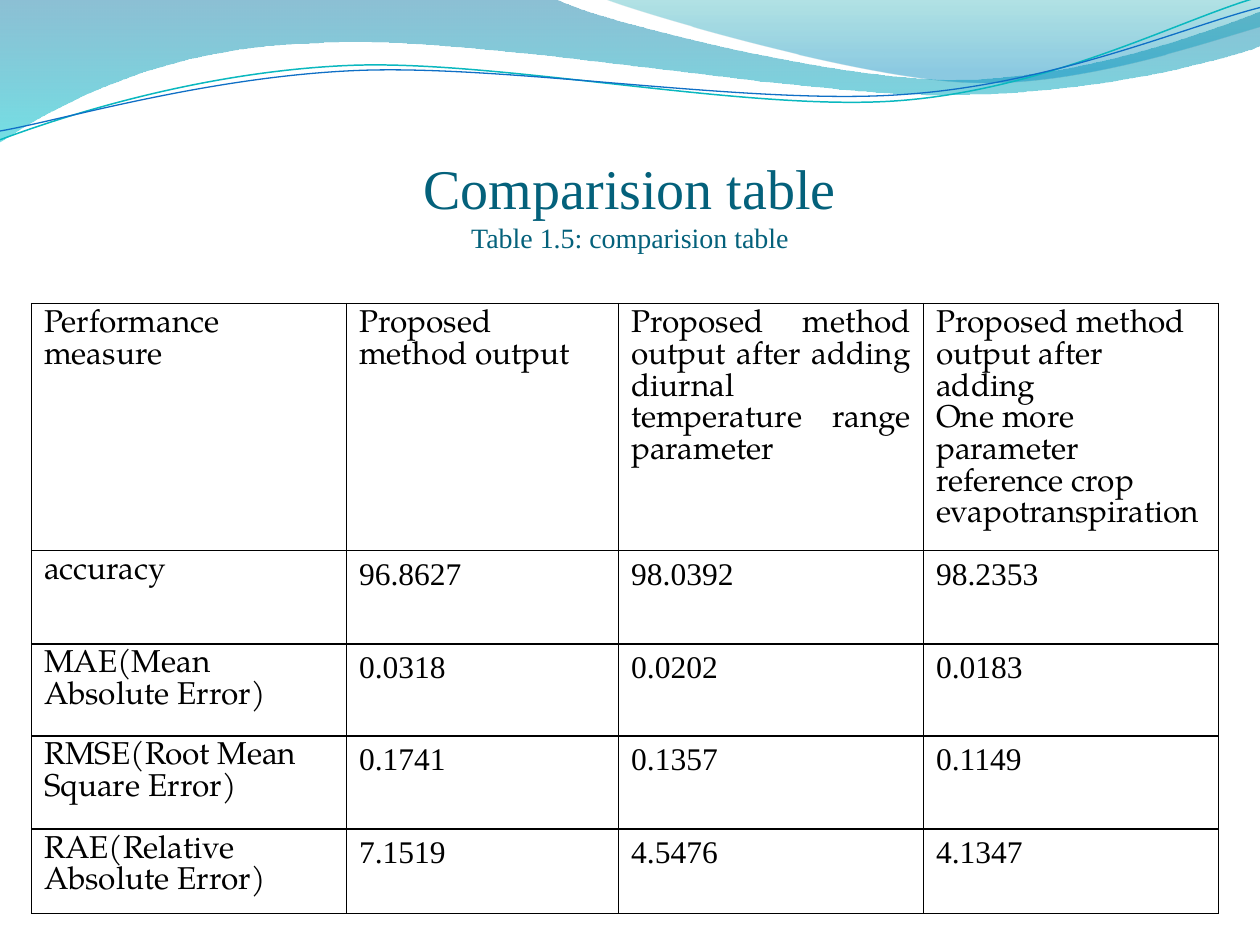
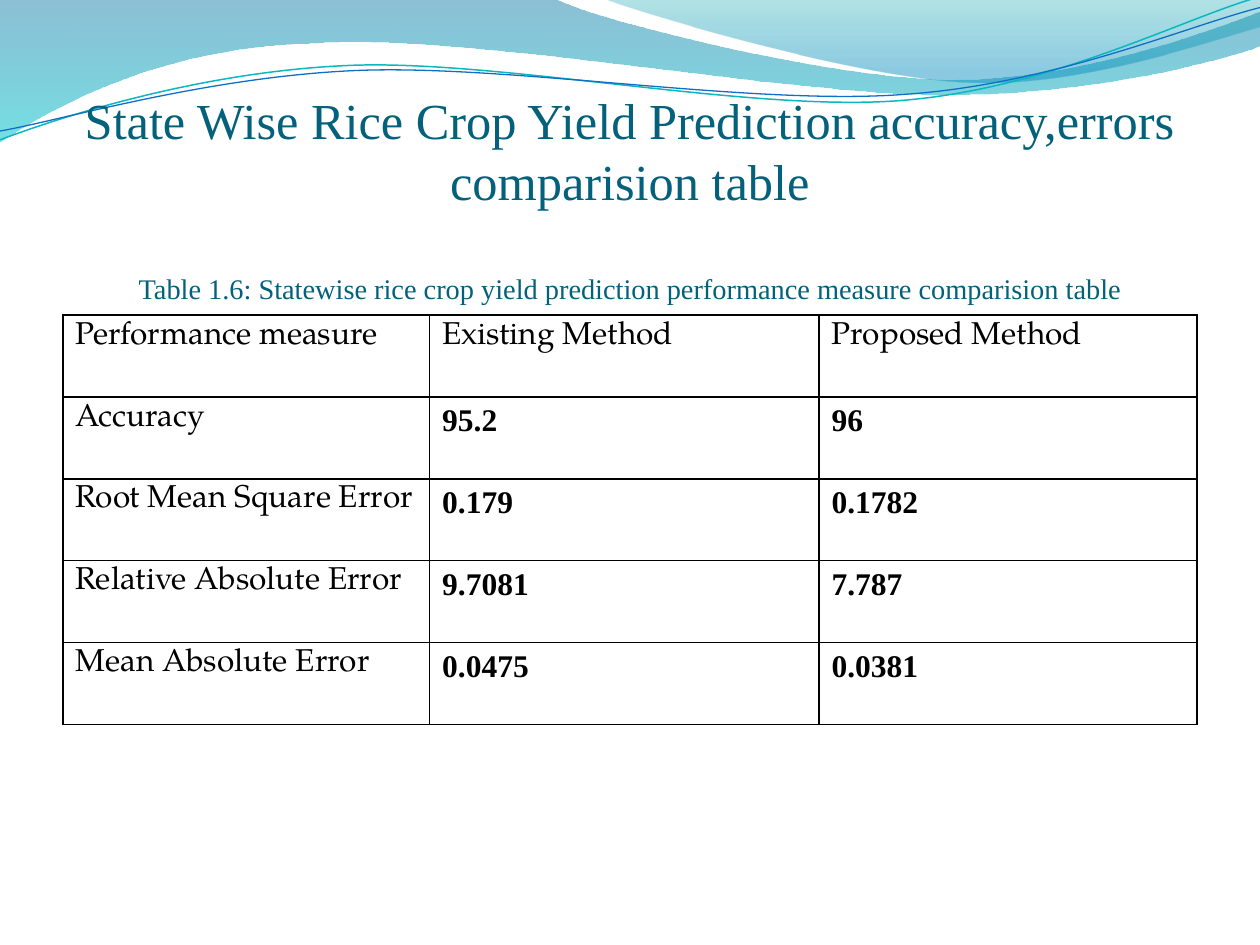
from copy import deepcopy
from lxml import etree
from pptx import Presentation
from pptx.dml.color import RGBColor
from pptx.enum.text import MSO_ANCHOR, MSO_AUTO_SIZE, PP_ALIGN
from pptx.oxml.ns import qn
from pptx.util import Inches, Pt

LEFT, CENTER, JUSTIFY = PP_ALIGN.LEFT, PP_ALIGN.CENTER, PP_ALIGN.JUSTIFY
BOTTOM = MSO_ANCHOR.BOTTOM
NO_FIT = MSO_AUTO_SIZE.NONE

COLORS = {
    "title": "04617B", "text": "000000", "border": "000000",
    "deep": "0074A1", "aqua": "00C6CF", "teal": "00A1A9", "sky": "008BBF",
    "green": "0AB8BF", "blue": "0F6FC6",
}
SERIF, BOOK = "Times New Roman", "TeX Gyre Pagella"

# Waves: a start, then segments of one point (line) or three points (curve)
BAND = [(0, 0), [(4.4, -0.01)],
        [(4.76, 0.17), (6.64, 0.63), (7.58, 0.63)],
        [(8.53, 0.63), (9.58, 0.26), (10, 0.09)], [(10.01, 0.36)],
        [(9.83, 0.44), (8.7, 0.76), (7.46, 0.75)],
        [(6.22, 0.75), (3.82, 0.28), (2.57, 0.34)],
        [(1.29, 0.36), (0.46, 0.83), (-0.01, 1.13)], [(0, 0)]]
CREST = [(4.79, -0.01),
         [(5.09, 0.11), (6.82, 0.62), (7.69, 0.65)],
         [(8.56, 0.69), (9.61, 0.32), (10, 0.21)], [(10, 0)], [(4.79, -0.01)]]
UPPER = [(0, 1.11),
         [(0.48, 0.93), (1.58, 0.57), (2.77, 0.52)],
         [(3.95, 0.47), (5.93, 0.89), (7.13, 0.8)],
         [(8.33, 0.71), (9.38, 0.15), (9.98, -0.02)]]
LOWER = [(0, 1.04),
         [(0.47, 0.96), (1.64, 0.61), (2.83, 0.56)],
         [(4.03, 0.51), (5.97, 0.84), (7.17, 0.75)],
         [(8.36, 0.67), (9.41, 0.21), (10, 0.06)]]


def color(name):
    return RGBColor.from_string(COLORS[name])


def place(point):
    return Inches(point[0]), Inches(point[1])


class Deck:
    def __init__(self):
        self.prs = Presentation()
        self.prs.slide_width, self.prs.slide_height = Inches(10), Inches(7.5)
        self.layout = self.prs.slide_layouts[5]
        self.slide = None

    def add(self):
        self.slide = self.prs.slides.add_slide(self.layout)

    def wave(self, outline, closed):
        """Draw straight pieces, then join each three into one curve."""
        start, *segments = outline
        pen = self.slide.shapes.build_freeform(*place(start))
        pen.add_line_segments([place(pt) for seg in segments for pt in seg],
                              close=closed)
        shape = pen.convert_to_shape()
        shape.shadow.inherit = False
        pieces = iter(list(shape._element.iter(qn("a:lnTo"))))
        for seg in segments:
            first, *rest = [next(pieces) for _ in seg]
            if rest:
                first.tag = qn("a:cubicBezTo")
            for piece in rest:
                first.append(piece[0])
                piece.getparent().remove(piece)
        return shape

    def band(self, outline, stops):
        shape = self.wave(outline, True)
        shape.line.fill.background()
        shape.fill.gradient()
        shape.fill.gradient_angle = 270
        for stop, (name, where, _) in zip(shape.fill.gradient_stops, stops):
            stop.color.rgb = color(name)
            stop.position = where
        tints = shape._element.spPr.iter(qn("a:srgbClr"))
        for tint, (_, _, alpha) in zip(tints, stops):
            etree.SubElement(tint, qn("a:alpha")).set("val", str(alpha * 1000))
        return shape

    def thread(self, outline, name, width):
        shape = self.wave(outline, False)
        shape.fill.background()
        shape.line.color.rgb = color(name)
        shape.line.width = Pt(width)
        return shape

    def share(self, shapes):
        """Move shapes to the back of the layout, so every slide shows them."""
        tree = self.layout.shapes._spTree
        for i, shape in enumerate(shapes):
            shape._element.nvSpPr.cNvPr.set("id", str(100 + i))
            tree.insert(2 + i, shape._element)

    def run(self, para, text, size, font, name, bold=False):
        run = para.add_run()
        run.text = text
        run.font.size, run.font.name, run.font.bold = Pt(size), font, bold
        run.font.color.rgb = color(name)
        return run

    def title(self, top, height, head, caption, breaks=1):
        """Set a heading and a caption, each a pair of text and size."""
        box = self.slide.shapes.title
        box.left, box.top = Inches(0.5), Inches(top)
        box.width, box.height = Inches(9), Inches(height)
        frame = box.text_frame
        frame.auto_size, frame.vertical_anchor = NO_FIT, BOTTOM
        frame.margin_left = frame.margin_right = frame.margin_bottom = 0
        frame.margin_top = Inches(0.05)
        para = frame.paragraphs[0]
        para.alignment = CENTER
        run = self.run(para, *head, SERIF, "title")
        for _ in range(breaks):
            para.add_line_break()
            para._p[-1].append(deepcopy(run._r.rPr))
        self.run(para, *caption, SERIF, "title")

    def border(self, cell):
        props = cell._tc.get_or_add_tcPr()
        for i, side in enumerate("LRTB"):
            line = etree.Element(qn(f"a:ln{side}"), w=str(Pt(1)))
            fill = etree.SubElement(line, qn("a:solidFill"))
            etree.SubElement(fill, qn("a:srgbClr"), val=COLORS["border"])
            props.insert(i, line)

    def table(self, left, top, widths, heights, rows, bold=False, justify=()):
        """Fill a grid; justify lists the header columns set to both edges."""
        frame = self.slide.shapes.add_table(
            len(rows), len(widths), Inches(left), Inches(top),
            Inches(sum(widths)), Inches(sum(heights)))
        grid = frame.table
        grid.first_row = grid.horz_banding = False
        for col, width in zip(grid.columns, widths):
            col.width = Inches(width)
        for row, height in zip(grid.rows, heights):
            row.height = Inches(height)
        for r, row in enumerate(rows):
            for c, text in enumerate(row):
                cell = grid.cell(r, c)
                cell.fill.background()
                self.border(cell)
                value = r > 0 and c > 0
                body = cell.text_frame
                for i, part in enumerate(text.split("\n")):
                    para = body.add_paragraph() if i else body.paragraphs[0]
                    para.alignment = JUSTIFY if r == 0 and c in justify else LEFT
                    self.run(para, part, 18, SERIF if value else BOOK,
                             "text", bold and value)


def main():
    deck = Deck()

    # Slide 1, with the waves all slides share
    deck.add()
    deck.share([
        deck.band(BAND, [("deep", 0, 45), ("aqua", 1, 55)]),
        deck.band(CREST, [("teal", 0, 30), ("sky", 0.8, 45)]),
        deck.thread(UPPER, "green", 0.85),
        deck.thread(LOWER, "blue", 0.75),
    ])
    deck.title(0.77, 1.25, ("Comparision table", 32),
               ("Table 1.5: comparision table", 16))
    deck.table(0.25, 2.41, [2.5, 2.16, 2.42, 2.34],
               [1.96, 0.74, 0.73, 0.74, 0.67], [
        ["Performance measure", "Proposed method output",
         "Proposed method output after adding diurnal temperature range parameter",
         "Proposed method output after adding\n"
         "One more parameter reference crop evapotranspiration"],
        ["accuracy", "96.8627", "98.0392", "98.2353"],
        ["MAE(Mean Absolute Error)", "0.0318", "0.0202", "0.0183"],
        ["RMSE(Root Mean Square Error)", "0.1741", "0.1357", "0.1149"],
        ["RAE(Relative Absolute Error)", "7.1519", "4.5476", "4.1347"],
    ], justify=(2,))

    # Slide 2
    deck.add()
    deck.title(
        0.75, 1.67,
        ("State Wise Rice Crop Yield Prediction accuracy,errors comparision table", 28.8),
        ("Table 1.6: Statewise rice crop yield prediction performance measure "
         "comparision table", 16.2), breaks=2)
    deck.table(0.5, 2.5, [2.91, 3.09, 3], [0.65] * 5, [
        ["Performance measure", "Existing Method", "Proposed Method"],
        ["Accuracy", "95.2", "96"],
        ["Root Mean Square Error", "0.179", "0.1782"],
        ["Relative Absolute Error", "9.7081", "7.787"],
        ["Mean Absolute Error", "0.0475", "0.0381"],
    ], bold=True)

    deck.prs.save("out.pptx")


if __name__ == "__main__":
    main()
